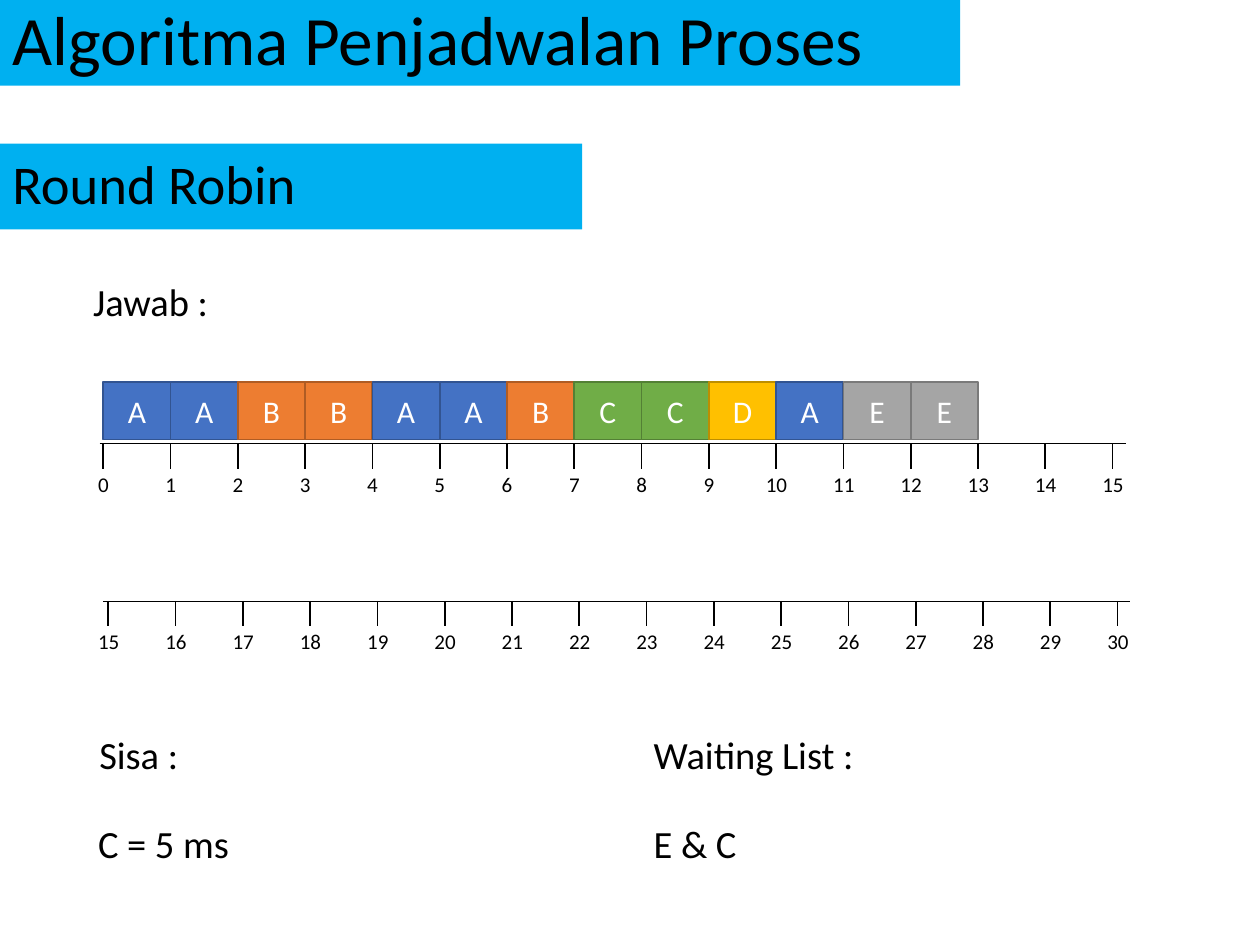
from lxml.etree import SubElement
from pptx import Presentation
from pptx.dml.color import RGBColor
from pptx.enum.shapes import MSO_CONNECTOR, MSO_SHAPE
from pptx.enum.text import MSO_ANCHOR, MSO_AUTO_SIZE, PP_ALIGN
from pptx.oxml.ns import qn
from pptx.util import Inches, Pt

BLACK = RGBColor(0x00, 0x00, 0x00)
WHITE = RGBColor(0xFF, 0xFF, 0xFF)
SKY = RGBColor(0x00, 0xB0, 0xF0)
TINTS = {
    "A": (RGBColor(0x44, 0x72, 0xC4), RGBColor(0x32, 0x54, 0x91)),
    "B": (RGBColor(0xED, 0x7D, 0x31), RGBColor(0xAF, 0x5C, 0x24)),
    "C": (RGBColor(0x70, 0xAD, 0x47), RGBColor(0x53, 0x80, 0x35)),
    "D": (RGBColor(0xFF, 0xC0, 0x00), RGBColor(0xBD, 0x8E, 0x00)),
    "E": (RGBColor(0xA5, 0xA5, 0xA5), RGBColor(0x7A, 0x7A, 0x7A)),
}
FONT = "Calibri"
LEFT = 0.82
SPAN = 8.01
STEPS = 15
STEP = SPAN / STEPS
DIGIT = 0.04
INSET = 0.1


def place(shape, left, top, width, height):
    shape.left, shape.top = Inches(left), Inches(top)
    shape.width, shape.height = Inches(width), Inches(height)


def write(shape, text, size, color=BLACK, align=PP_ALIGN.LEFT):
    frame = shape.text_frame
    frame.text = text
    line = frame.paragraphs[0]
    line.alignment = align
    font = line.runs[0].font
    font.name, font.size = FONT, Pt(size)
    font.color.rgb = color
    return frame


def add_box(slide, left, top, width, height):
    shape = slide.shapes.add_shape(MSO_SHAPE.RECTANGLE, 0, 0, 0, 0)
    place(shape, left, top, width, height)
    shape.shadow.inherit = False
    shape.fill.solid()
    return shape


def style_head(shape, text, size):
    shape.fill.solid()
    shape.fill.fore_color.rgb = SKY
    shape.line.fill.background()
    frame = write(shape, text, size)
    frame.auto_size = MSO_AUTO_SIZE.NONE
    frame.word_wrap = True
    frame.vertical_anchor = MSO_ANCHOR.MIDDLE
    frame.paragraphs[0].line_spacing = 0.9


def add_text(slide, text, left, top, width, height, size):
    box = slide.shapes.add_textbox(0, 0, 0, 0)
    place(box, left, top, width, height)
    write(box, text, size).word_wrap = True


def add_line(slide, x1, y1, x2, y2, width):
    ends = [Inches(n) for n in (x1, y1, x2, y2)]
    line = slide.shapes.add_connector(MSO_CONNECTOR.STRAIGHT, *ends)
    line.line.color.rgb = BLACK
    line.line.width = Pt(width)
    SubElement(line._element.spPr, qn("a:effectLst"))


def add_scale(slide, start, left, edge, top):
    add_line(slide, edge, top, edge + 8.15, top, 0.5)
    for col in range(STEPS + 1):
        x = left + col * STEP
        add_line(slide, x, top, x, top + 0.2, 1)
        mark = str(start + col)
        shift = INSET + DIGIT * len(mark)
        add_text(slide, mark, x - shift, top + 0.17, 0.4, 0.3, 12)


def add_job(slide, col, name):
    fill, edge = TINTS[name]
    box = add_box(slide, LEFT + col * STEP, 3.03, STEP, 0.46)
    box.fill.fore_color.rgb = fill
    box.line.color.rgb = edge
    box.line.width = Pt(1)
    frame = write(box, name, 18, WHITE, PP_ALIGN.CENTER)
    frame.vertical_anchor = MSO_ANCHOR.MIDDLE


def main():
    deck = Presentation()
    deck.slide_width, deck.slide_height = Inches(10), Inches(7.5)
    slide = deck.slides.add_slide(deck.slide_layouts[5])

    title = slide.shapes.title
    place(title, 0, 0, 7.62, 0.68)
    style_head(title, "Algoritma Penjadwalan Proses", 39.6)
    style_head(add_box(slide, 0, 1.14, 4.62, 0.68), "Round Robin", 31.2)

    add_scale(slide, 0, LEFT, 0.79, 3.52)
    for col, name in enumerate("AABBAABCCDAEE"):
        add_job(slide, col, name)
    add_scale(slide, 15, 0.86, LEFT, 4.77)

    notes = [
        ("Jawab :", 0.64, 2.16),
        ("Sisa :", 0.69, 5.75),
        ("Waiting List :", 5.09, 5.75),
        ("C = 5 ms", 0.68, 6.46),
        ("E & C", 5.09, 6.46),
    ]
    for text, left, top in notes:
        add_text(slide, text, left, top, 2, 0.47, 22)

    deck.save("out.pptx")


if __name__ == "__main__":
    main()
